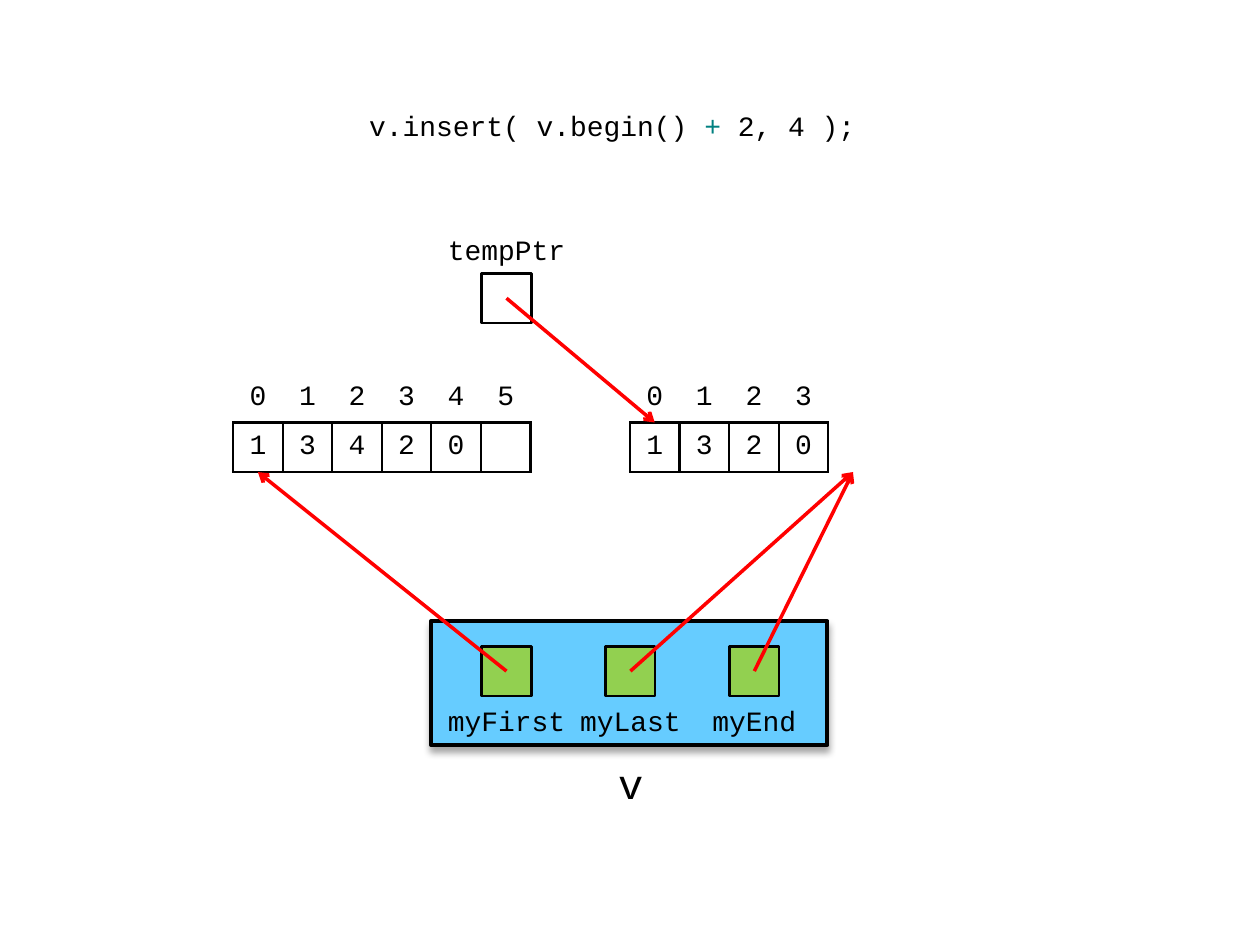
from typing import NamedTuple

from lxml.etree import SubElement
from pptx import Presentation
from pptx.dml.color import RGBColor
from pptx.enum.shapes import MSO_CONNECTOR, MSO_SHAPE
from pptx.enum.text import MSO_ANCHOR, PP_ALIGN
from pptx.oxml.ns import qn
from pptx.util import Inches, Pt

COLORS = {
    "black": "000000",
    "white": "FFFFFF",
    "operator": "008080",
    "object": "66CCFF",
    "pointer": "92D050",
    "arrow": "FF0000",
}
FONT = "Courier New"
CELL = 2.36 / 6  # side of an array cell and of a pointer box
LABEL_WIDTH = 3 * CELL
ARRAY_TOP = 2.96
ARRAY_BOTTOM = ARRAY_TOP + 2 * CELL


class Array(NamedTuple):
    left: float
    values: list[str]


class Pointer(NamedTuple):
    name: str
    center: float
    top: float
    label_top: float
    color: str
    target: tuple[float, float]


def rgb(name: str) -> RGBColor:
    return RGBColor.from_string(COLORS[name])


def add_run(paragraph, text: str, size: float = 16, color: str = "black") -> None:
    run = paragraph.add_run()
    run.text = text
    run.font.name = FONT
    run.font.size = Pt(size)
    run.font.color.rgb = rgb(color)


def add_box(slide, geometry, left, top, width, height, fill=None, line_width=None):
    box = slide.shapes.add_shape(
        geometry, Inches(left), Inches(top), Inches(width), Inches(height))
    box.shadow.inherit = False
    if fill:
        box.fill.solid()
        box.fill.fore_color.rgb = rgb(fill)
    else:
        box.fill.background()
    if line_width:
        box.line.color.rgb = rgb("black")
        box.line.width = Pt(line_width)
    else:
        box.line.fill.background()
    return box


def add_label(slide, text: str, left: float, top: float,
              width: float, height: float, size: float = 16) -> None:
    label = add_box(slide, MSO_SHAPE.FLOWCHART_PROCESS, left, top, width, height)
    frame = label.text_frame
    frame.vertical_anchor = MSO_ANCHOR.MIDDLE
    frame.paragraphs[0].alignment = PP_ALIGN.CENTER
    add_run(frame.paragraphs[0], text, size)


def add_drop_shadow(box) -> None:
    effects = box._element.spPr.find(qn("a:effectLst"))
    shadow = SubElement(effects, qn("a:outerShdw"), blurRad=str(Pt(4)),
                        dist=str(Pt(3)), dir="5400000", rotWithShape="0")
    color = SubElement(shadow, qn("a:srgbClr"), val=COLORS["black"])
    SubElement(color, qn("a:alpha"), val="35000")


def add_cell_borders(cell, sides: str) -> None:
    properties = cell._tc.get_or_add_tcPr()
    for side in sides:
        border = SubElement(properties, qn(f"a:ln{side}"), w=str(Pt(1.5)))
        fill = SubElement(border, qn("a:solidFill"))
        SubElement(fill, qn("a:srgbClr"), val=COLORS["black"])


def add_array(slide, array: Array) -> None:
    count = len(array.values)
    table = slide.shapes.add_table(
        2, count, Inches(array.left), Inches(ARRAY_TOP),
        Inches(count * CELL), Inches(2 * CELL)).table
    table.first_row = table.horz_banding = False
    for track in table.columns:
        track.width = Inches(CELL)
    for track in table.rows:
        track.height = Inches(CELL)
    indexes = [str(index) for index in range(count)]
    # Indexes above, boxed values below
    for row, (texts, sides) in enumerate([(indexes, "B"), (array.values, "LRTB")]):
        for column, text in enumerate(texts):
            cell = table.cell(row, column)
            cell.margin_left = cell.margin_right = Inches(0.06)
            cell.margin_top = cell.margin_bottom = Inches(0.04)
            cell.vertical_anchor = MSO_ANCHOR.MIDDLE
            add_cell_borders(cell, sides)
            cell.fill.background()
            paragraph = cell.text_frame.paragraphs[0]
            paragraph.alignment = PP_ALIGN.CENTER
            add_run(paragraph, text)


def add_pointer(slide, pointer: Pointer) -> None:
    add_label(slide, pointer.name, pointer.center - LABEL_WIDTH / 2,
              pointer.label_top, LABEL_WIDTH, CELL)
    add_box(slide, MSO_SHAPE.RECTANGLE, pointer.center - CELL / 2, pointer.top,
            CELL, CELL, pointer.color, 1.5)


def add_arrow(slide, pointer: Pointer) -> None:
    end_x, end_y = pointer.target
    arrow = slide.shapes.add_connector(
        MSO_CONNECTOR.STRAIGHT, Inches(pointer.center),
        Inches(pointer.top + CELL / 2), Inches(end_x), Inches(end_y))
    arrow.line.color.rgb = rgb("arrow")
    arrow.line.width = Pt(2)
    SubElement(arrow.line._get_or_add_ln(), qn("a:tailEnd"), type="arrow")
    SubElement(arrow._element.spPr, qn("a:effectLst"))


def add_statement(slide) -> None:
    title = slide.shapes.title
    title.left, title.top = Inches(2.83), Inches(0.8)
    title.width, title.height = Inches(4.33), Inches(0.39)
    frame = title.text_frame
    frame.word_wrap = True
    frame.vertical_anchor = MSO_ANCHOR.MIDDLE
    statement = frame.paragraphs[0]
    statement.alignment = PP_ALIGN.LEFT
    add_run(statement, "v.insert( v.begin() ")
    add_run(statement, "+", color="operator")
    add_run(statement, " 2, 4 );")


def main() -> None:
    presentation = Presentation()
    presentation.slide_width, presentation.slide_height = Inches(10), Inches(7.5)
    slide = presentation.slides.add_slide(presentation.slide_layouts[5])
    add_statement(slide)

    # New array on the left, old array on the right
    new_array = Array(1.85, ["1", "3", "4", "2", "0", ""])
    old_array = Array(5, ["1", "3", "2", "0"])
    for array in (new_array, old_array):
        add_array(slide, array)

    # Vector object
    vector = add_box(slide, MSO_SHAPE.FLOWCHART_PROCESS, 3.42, 4.93,
                     8 * CELL, 2.5 * CELL, "object", 2.25)
    add_drop_shadow(vector)
    add_label(slide, "v", 4.61, 5.92, 0.79, 0.59, 24)

    # Pointers, then their arrows on top
    first_cell = (new_array.left + CELL / 2, ARRAY_BOTTOM)
    past_old_end = (old_array.left + 4.5 * CELL, ARRAY_BOTTOM)
    old_first_index = (old_array.left + CELL / 2, ARRAY_TOP + CELL)
    members = [("myFirst", first_cell), ("myLast", past_old_end), ("myEnd", past_old_end)]
    pointers = [
        Pointer(name, 4.02 + 2.5 * CELL * index, 5.13, 5.52, "pointer", target)
        for index, (name, target) in enumerate(members)
    ]
    pointers.append(Pointer("tempPtr", 4.02, 2.17, 1.78, "white", old_first_index))
    for pointer in pointers:
        add_pointer(slide, pointer)
    for pointer in pointers:
        add_arrow(slide, pointer)

    presentation.save("out.pptx")


if __name__ == "__main__":
    main()
